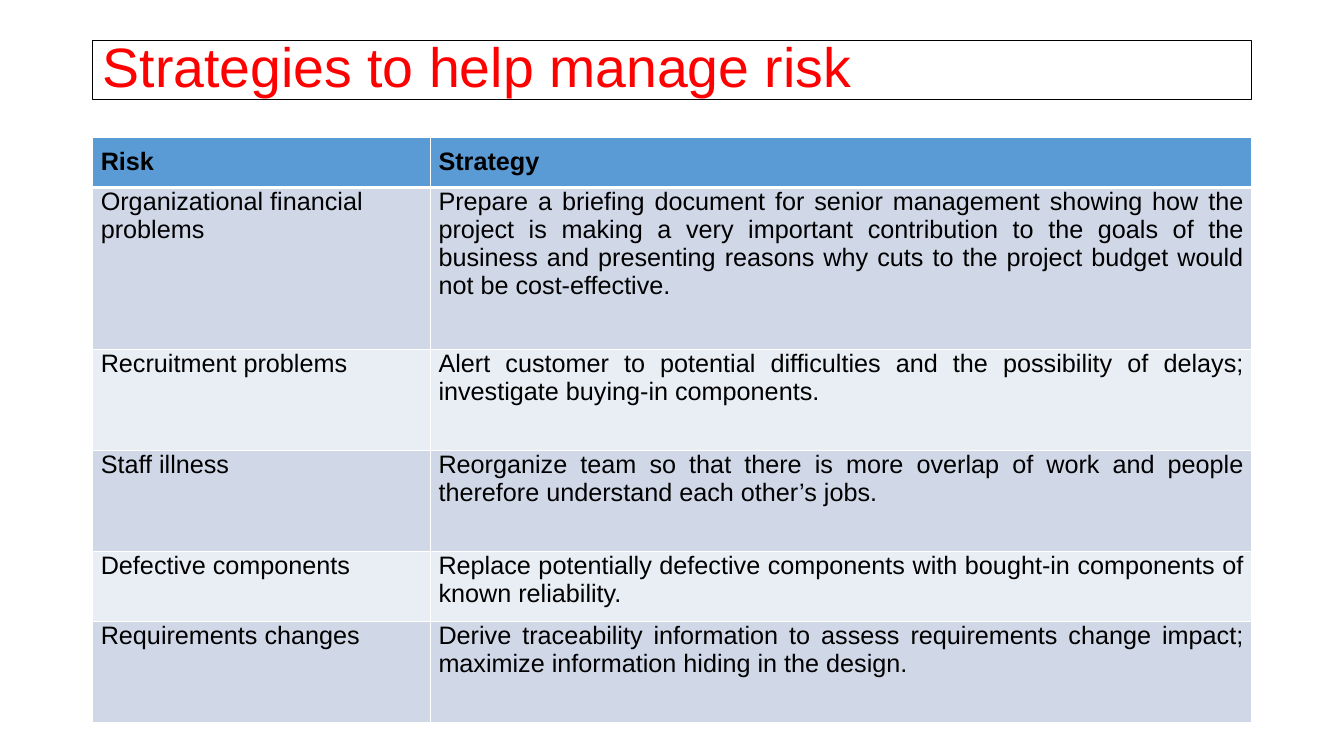
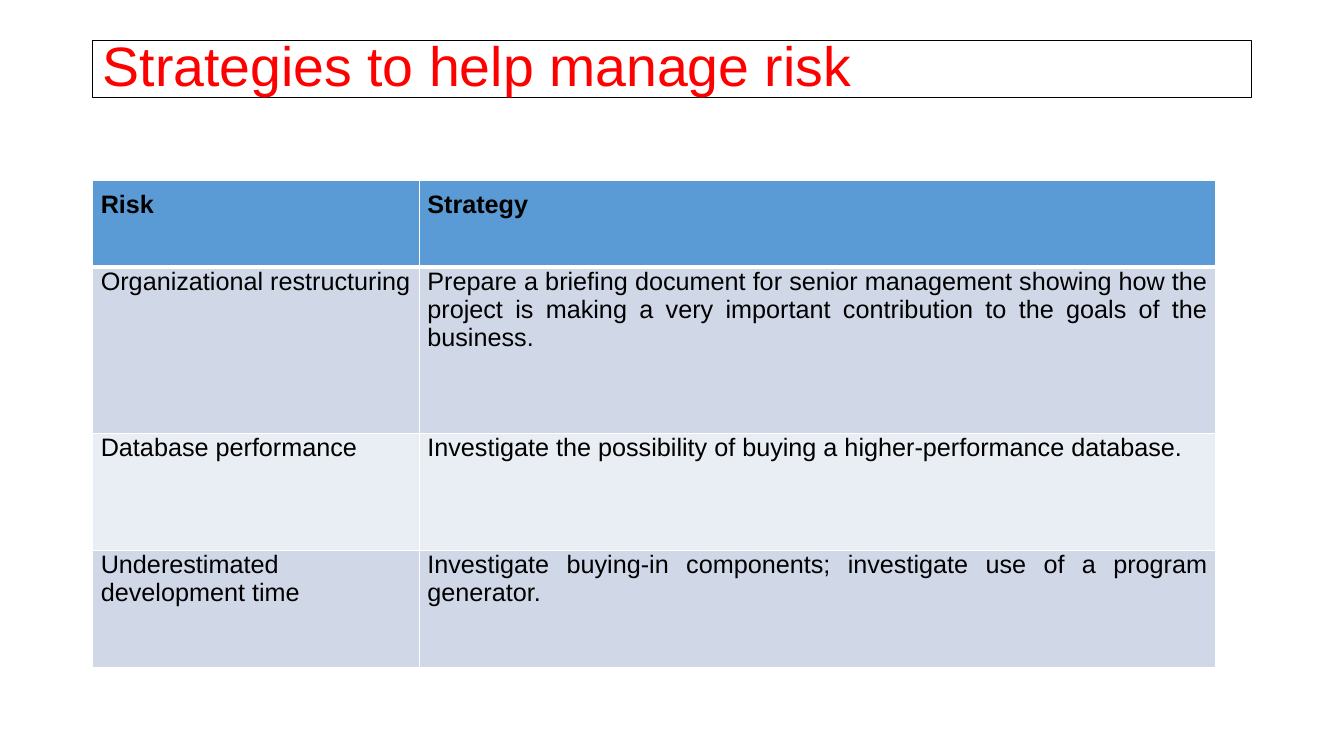
from lxml import etree
from pptx import Presentation
from pptx.dml.color import RGBColor
from pptx.enum.text import MSO_ANCHOR, MSO_AUTO_SIZE, PP_ALIGN
from pptx.oxml.ns import qn
from pptx.util import Inches, Pt

LEFT, JUSTIFY = PP_ALIGN.LEFT, PP_ALIGN.JUSTIFY
TOP, MIDDLE = MSO_ANCHOR.TOP, MSO_ANCHOR.MIDDLE
NO_FIT = MSO_AUTO_SIZE.NONE

# Shared look
FONT = "Arial"
TITLE = "Strategies to help manage risk"
TITLE_RED, INK, RULE = "FF0000", "000000", "FFFFFF"
HEADER_FILL = "5B9BD5"
BAND_FILLS = ["D0D8E8", "E9EDF4"]
HEADINGS = ("Risk", "Strategy")
TITLE_LAYOUT = 5

prs = Presentation()
prs.slide_width, prs.slide_height = Inches(13.333), Inches(7.5)

# Grid: 100 columns by 100 rows over the slide
COL, ROW = prs.slide_width / 100, prs.slide_height / 100
MARGIN, TITLE_TOP, TITLE_WIDTH = 6.9, 5.33, 86.25

# Each slide: title height, table top, column widths, row heights, risks
SLIDES = [
    (7.87, 18.13, (25.13, 61.12), (6.67, 21.47, 13.33, 13.33, 9.33, 13.33), [
        ("Organizational financial problems",
         "Prepare a briefing document for senior management showing how the "
         "project is making a very important contribution to the goals of the "
         "business and presenting reasons why cuts to the project budget would "
         "not be cost-effective."),
        ("Recruitment problems",
         "Alert customer to potential difficulties and the possibility of "
         "delays; investigate buying-in components."),
        ("Staff illness",
         "Reorganize team so that there is more overlap of work and people "
         "therefore understand each other’s jobs."),
        ("Defective components",
         "Replace potentially defective components with bought-in components "
         "of known reliability."),
        ("Requirements changes",
         "Derive traceability information to assess requirements change "
         "impact; maximize information hiding in the design."),
    ]),
    (7.6, 23.87, (24.3, 59.25), (11.47, 22, 15.47, 15.47), [
        ("Organizational restructuring",
         "Prepare a briefing document for senior management showing how the "
         "project is making a very important contribution to the goals of the "
         "business."),
        ("Database performance",
         "Investigate the possibility of buying a higher-performance database."),
        ("Underestimated development time",
         "Investigate buying-in components; investigate use of a program "
         "generator."),
    ]),
]


def add_run(paragraph, text, size, color, bold=False):
    run = paragraph.add_run()
    run.text = text
    run.font.name, run.font.size, run.font.bold = FONT, Pt(size), bold
    run.font.color.rgb = RGBColor.from_string(color)


def add_border(cell, side, width):
    line = etree.SubElement(cell._tc.get_or_add_tcPr(), qn(f"a:ln{side}"), w=str(Pt(width)))
    fill = etree.SubElement(line, qn("a:solidFill"))
    etree.SubElement(fill, qn("a:srgbClr"), val=RULE)


for title_height, table_top, col_widths, row_heights, risks in SLIDES:
    slide = prs.slides.add_slide(prs.slide_layouts[TITLE_LAYOUT])

    # Boxed title
    title = slide.shapes.title
    title.left, title.top = int(MARGIN * COL), int(TITLE_TOP * ROW)
    title.width, title.height = int(TITLE_WIDTH * COL), int(title_height * ROW)
    title.line.color.rgb = RGBColor.from_string(INK)
    title.line.width = Pt(0.75)
    frame = title.text_frame
    frame.word_wrap, frame.auto_size, frame.vertical_anchor = True, NO_FIT, MIDDLE
    heading = frame.paragraphs[0]
    heading.alignment, heading.line_spacing = LEFT, 0.9
    add_run(heading, TITLE, 39.6, TITLE_RED)

    # Risk table
    lines = [HEADINGS] + risks
    table = slide.shapes.add_table(
        len(lines), len(HEADINGS), int(MARGIN * COL), int(table_top * ROW),
        int(sum(col_widths) * COL), int(sum(row_heights) * ROW)).table
    for column, width in zip(table.columns, col_widths):
        column.width = int(width * COL)

    for r, (line, height) in enumerate(zip(lines, row_heights)):
        table.rows[r].height = int(height * ROW)
        is_header = r == 0
        for c, text in enumerate(line):
            cell = table.cell(r, c)
            cell.margin_left = cell.margin_right = Inches(0.08)
            cell.margin_top = Inches(0.1 if is_header else 0)
            cell.margin_bottom = Inches(0.1)
            cell.vertical_anchor = TOP

            # White rules, thicker below the header
            for side in "LRTB":
                under_header = (r, side) in [(0, "B"), (1, "T")]
                add_border(cell, side, 3 if under_header else 1)
            cell.fill.solid()
            fill = HEADER_FILL if is_header else BAND_FILLS[(r - 1) % 2]
            cell.fill.fore_color.rgb = RGBColor.from_string(fill)

            paragraph = cell.text_frame.paragraphs[0]
            paragraph.alignment = JUSTIFY if is_header or c == 1 else LEFT
            add_run(paragraph, text, 18, INK, bold=is_header)

prs.save("out.pptx")
